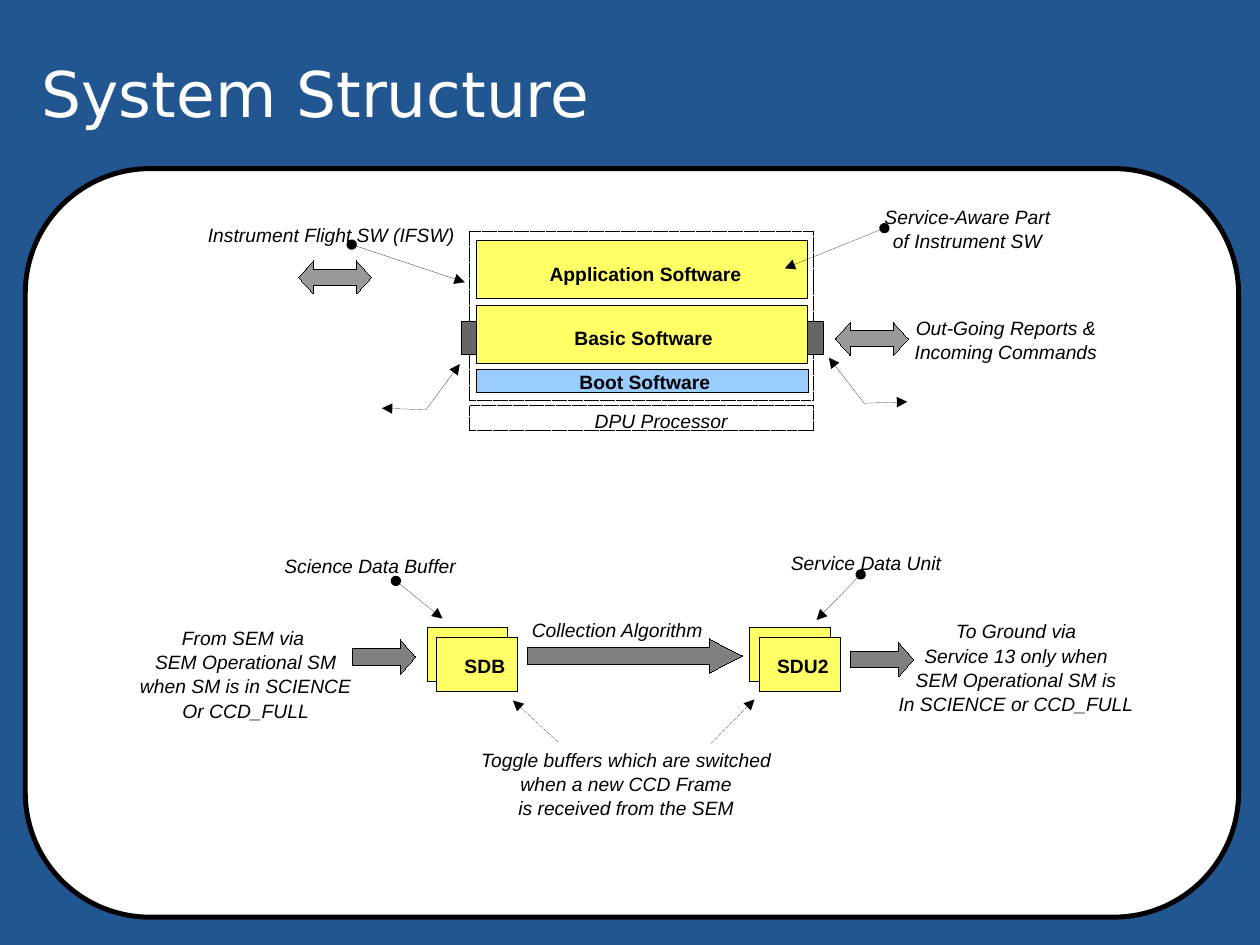
from dataclasses import dataclass

from lxml import etree
from pptx import Presentation
from pptx.dml.color import RGBColor
from pptx.enum.dml import MSO_LINE
from pptx.enum.shapes import MSO_CONNECTOR, MSO_SHAPE
from pptx.enum.text import MSO_ANCHOR, MSO_AUTO_SIZE, PP_ALIGN
from pptx.oxml.ns import qn
from pptx.util import Cm, Pt

RECT = MSO_SHAPE.RECTANGLE
ROUND = MSO_SHAPE.ROUNDED_RECTANGLE
RIGHT = MSO_SHAPE.RIGHT_ARROW
BOTH = MSO_SHAPE.LEFT_RIGHT_ARROW
STRAIGHT = MSO_CONNECTOR.STRAIGHT
DASH = MSO_LINE.SQUARE_DOT
NONE = MSO_AUTO_SIZE.NONE
TOP, MIDDLE = MSO_ANCHOR.TOP, MSO_ANCHOR.MIDDLE
LEFT, CENTER = PP_ALIGN.LEFT, PP_ALIGN.CENTER


@dataclass(frozen=True)
class Theme:
    """Colours, fonts and sizes of the slide."""

    back: str = "215691"
    white: str = "FFFFFF"
    black: str = "000000"
    yellow: str = "FFFF66"
    blue: str = "99CCFF"
    port: str = "666666"
    link: str = "999999"
    flow: str = "808080"
    head: str = "DejaVu Sans"
    body: str = "Arial"
    big: int = 36
    small: int = 11
    edge: float = 2.83
    hair: float = 0.01
    slack: float = 0.1


THEME = Theme()


def rgb(code):
    """Turn a hex code into a colour."""
    return RGBColor.from_string(code)


def stroke(line, width=THEME.hair, dash=False):
    """Draw a black line, dashed on request."""
    line.color.rgb = rgb(THEME.black)
    line.width = Pt(width)
    if dash:
        line.dash_style = DASH


def ends(item, head, tail):
    """Set the marks at both ends of a line."""
    node = item.line._get_or_add_ln()
    for tag, mark in (("a:headEnd", head), ("a:tailEnd", tail)):
        if mark:
            etree.SubElement(node, qn(tag), type=mark)


def box(slide, kind, at, fill=None, adj=(), width=THEME.hair, dash=False):
    """Add a preset shape, open when no fill is given."""
    item = slide.shapes.add_shape(kind, *map(Cm, at))
    item.shadow.inherit = False
    if fill:
        item.fill.solid()
        item.fill.fore_color.rgb = rgb(fill)
    else:
        item.fill.background()
    stroke(item.line, width, dash)
    for spot, value in enumerate(adj):
        item.adjustments[spot] = value
    return item


def setup(frame, anchor):
    """Clear the margins of a text frame and fix its size."""
    frame.margin_left = frame.margin_right = 0
    frame.margin_top = frame.margin_bottom = 0
    frame.vertical_anchor = anchor
    frame.auto_size = NONE


def write(para, text, font, size, color, bold=False, italic=False):
    """Add one formatted run to a paragraph."""
    run = para.add_run()
    run.text = text
    run.font.name = font
    run.font.size = Pt(size)
    run.font.color.rgb = rgb(color)
    run.font.bold = bold
    run.font.italic = italic


def label(slide, at, *lines, bold=False):
    """Add centred lines with some slack, bold for parts and italic for notes."""
    x, y, wide, high = at
    room = (x - THEME.slack, y, wide + 2 * THEME.slack, high)
    frame = slide.shapes.add_textbox(*map(Cm, room)).text_frame
    setup(frame, TOP)
    frame.word_wrap = False
    for spot, text in enumerate(lines):
        para = frame.add_paragraph() if spot else frame.paragraphs[0]
        para.alignment = CENTER
        para.line_spacing = 1.05
        write(para, text, THEME.body, THEME.small, THEME.black, bold, not bold)


def pointer(slide, ends_at, dash=False):
    """Add an arrow, with a dot at its start unless dashed."""
    item = slide.shapes.add_connector(STRAIGHT, *map(Cm, ends_at))
    stroke(item.line, dash=dash)
    ends(item, None if dash else "oval", "triangle")
    etree.SubElement(item._element.spPr, qn("a:effectLst"))


def bend(slide, *points):
    """Add an open bent line with an arrowhead at each end."""
    first, *rest = [(Cm(x), Cm(y)) for x, y in points]
    path = slide.shapes.build_freeform(*first)
    path.add_line_segments(rest, close=False)
    item = path.convert_to_shape()
    item.shadow.inherit = False
    item.fill.background()
    stroke(item.line)
    ends(item, "triangle", "triangle")


def title(slide, text):
    """Place and fill the title."""
    item = slide.shapes.title
    item.left, item.top, item.width, item.height = map(Cm, (0.84, 0.28, 17.63, 3.18))
    setup(item.text_frame, MIDDLE)
    para = item.text_frame.paragraphs[0]
    para.alignment = LEFT
    write(para, text, THEME.head, THEME.big, THEME.white)


def stack(slide):
    """Draw the software layers and their links."""
    box(slide, RECT, (9.47, 4.67, 6.93, 3.4), dash=True)
    box(slide, RECT, (9.47, 8.18, 6.93, 0.51), dash=True)
    for x in (9.3, 16.28):
        box(slide, RECT, (x, 6.48, 0.33, 0.66), THEME.port)
    for y, wide, high, fill, text, spot in (
        (4.85, 6.68, 1.17, THEME.yellow, "Application Software", (11.07, 5.26, 3.89, 0.46)),
        (6.15, 6.68, 1.17, THEME.yellow, "Basic Software", (11.58, 6.55, 2.79, 0.46)),
        (7.44, 6.71, 0.48, THEME.blue, "Boot Software", (11.68, 7.44, 2.64, 0.46)),
    ):
        box(slide, RECT, (9.6, y, wide, high), fill)
        label(slide, spot, text, bold=True)
    for x, y in ((6.02, 5.26), (16.84, 6.5)):
        box(slide, BOTH, (x, y, 1.47, 0.66), THEME.link, (0.5, 0.45))
    label(slide, (11.68, 8.23, 3.3, 0.58), "DPU Processor")
    label(slide, (4.19, 4.47, 4.98, 0.58), "Instrument Flight SW (IFSW)")
    label(slide, (17.83, 4.11, 3.35, 0.91), "Service-Aware Part", "of Instrument SW")
    label(slide, (18.44, 6.35, 3.68, 0.91), "Out-Going Reports &", "Incoming Commands")
    pointer(slide, (7.09, 4.93, 9.37, 5.69))
    pointer(slide, (17.83, 4.6, 15.82, 5.41))
    bend(slide, (7.7, 8.23), (8.59, 8.26), (9.27, 7.34))
    bend(slide, (18.29, 8.1), (17.42, 8.13), (16.71, 7.21))


def flow(slide):
    """Draw the buffers and the path of the data."""
    for x, spot, text in ((8.61, 9.19, "SDB"), (15.11, 15.6, "SDU2")):
        for shift in (0, 0.2):
            box(slide, RECT, (x + shift, 12.65 + shift, 1.63, 1.09), THEME.yellow)
        label(slide, (spot, 13.16, 1.17, 0.46), text, bold=True)
    for x, y, wide, tip in (
        (7.11, 12.9, 1.27, 0.44),
        (10.64, 12.88, 4.32, 0.96),
        (17.15, 12.95, 1.27, 0.44),
    ):
        box(slide, RIGHT, (x, y, wide, 0.69), THEME.flow, (0.48, tip))
    label(slide, (5.74, 11.15, 3.45, 0.58), "Science Data Buffer")
    label(slide, (10.72, 12.45, 3.45, 0.58), "Collection Algorithm")
    label(slide, (15.95, 11.1, 3.02, 0.58), "Service Data Unit")
    label(slide, (2.82, 12.6, 4.27, 1.83), "From SEM via ", "SEM Operational SM",
          "when SM is in SCIENCE", "Or CCD_FULL")
    label(slide, (18.11, 12.47, 4.75, 1.83), "To Ground via", "Service 13 only when",
          "SEM Operational SM is", "In SCIENCE or CCD_FULL")
    label(slide, (9.68, 15.06, 5.89, 1.37), "Toggle buffers which are switched",
          "when a new CCD Frame", "is received from the SEM")
    pointer(slide, (7.98, 11.71, 8.92, 12.47))
    pointer(slide, (17.35, 11.58, 16.46, 12.5))
    pointer(slide, (11.25, 14.96, 10.34, 14.12), dash=True)
    pointer(slide, (14.33, 14.99, 15.21, 14.1), dash=True)


def main():
    """Build and save the slide."""
    deck = Presentation()
    deck.slide_width, deck.slide_height = Cm(25.4), Cm(19.05)
    slide = deck.slides.add_slide(deck.slide_layouts[5])
    slide.background.fill.solid()
    slide.background.fill.fore_color.rgb = rgb(THEME.back)
    title(slide, "System Structure")
    box(slide, ROUND, (0.51, 3.4, 24.46, 15.09), THEME.white, width=THEME.edge)
    stack(slide)
    flow(slide)
    deck.save("out.pptx")


if __name__ == "__main__":
    main()
